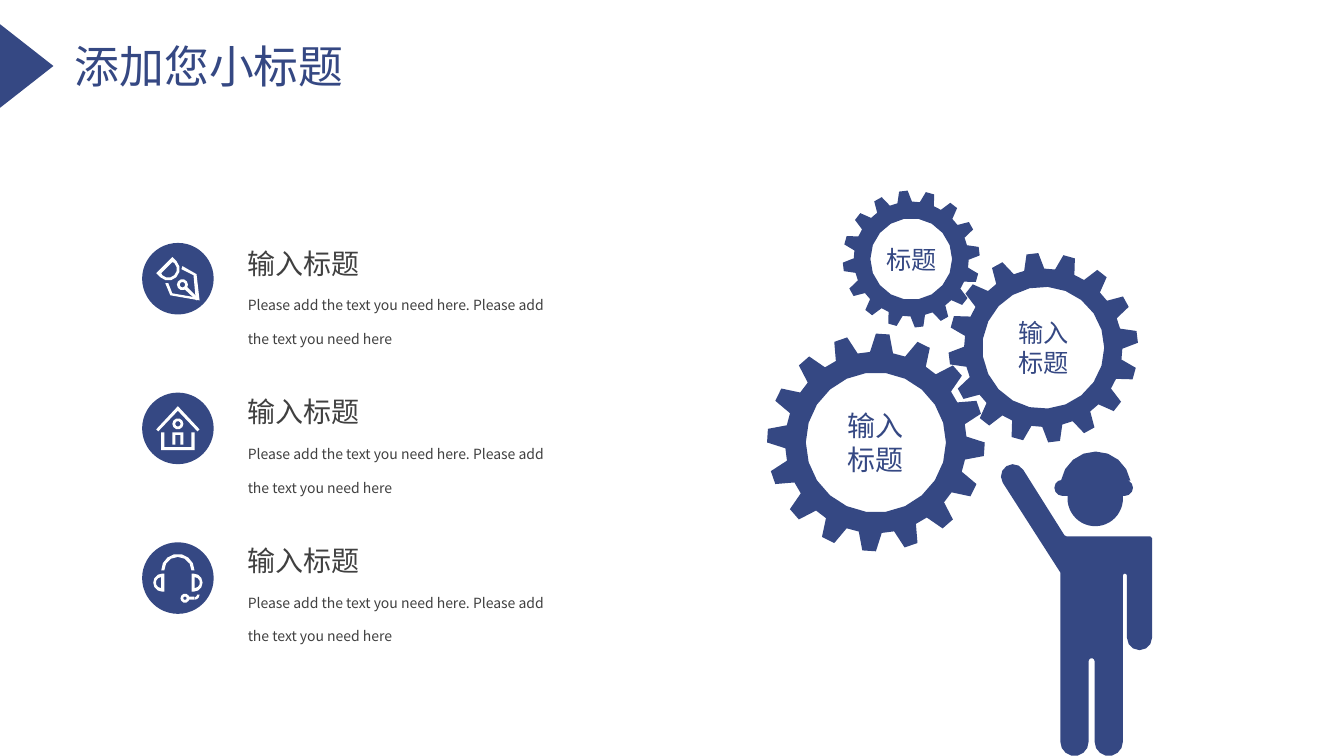
from dataclasses import dataclass
from math import cos, radians, sin, sqrt
from typing import NamedTuple

from lxml import etree
from pptx import Presentation
from pptx.dml.color import RGBColor
from pptx.enum.shapes import MSO_SHAPE
from pptx.enum.text import MSO_ANCHOR, MSO_AUTO_SIZE, PP_ALIGN
from pptx.oxml.ns import qn
from pptx.util import Emu, Pt

OVAL, RECT, TRI = MSO_SHAPE.OVAL, MSO_SHAPE.RECTANGLE, MSO_SHAPE.ISOSCELES_TRIANGLE
MIDDLE, TOP = MSO_ANCHOR.MIDDLE, MSO_ANCHOR.TOP
CENTER, LEFT = PP_ALIGN.CENTER, PP_ALIGN.LEFT
GROW = MSO_AUTO_SIZE.SHAPE_TO_FIT_TEXT

CELL = 91440  # one grid column or row: a tenth of an inch
COLS, ROWS = 133.33, 75
FINE = 100  # freeform steps in one cell

Points = list[tuple[float, float]]


@dataclass(frozen=True)
class Theme:
    navy: RGBColor = RGBColor(0x35, 0x48, 0x83)
    white: RGBColor = RGBColor(0xFF, 0xFF, 0xFF)
    gray: RGBColor = RGBColor(0x40, 0x40, 0x40)
    font: str = "Noto Sans CJK SC"
    title: int = 32
    head: int = 20
    body: int = 10


THEME = Theme()


class Gear(NamedTuple):
    x: float
    y: float
    tip: float
    root: float
    hole: float
    turn: float
    size: int
    lines: list[str]


class Item(NamedTuple):
    head: str
    body: str
    icon: list[list[Points]]


def grid(n: float) -> Emu:
    return Emu(round(n * CELL))


def arc(x: float, y: float, r: float, start: float, end: float) -> Points:
    """Points along an arc, more for a larger one; degrees run clockwise from the right."""
    steps = max(3, round(abs(end - start) / 360 * (6 + 6 * sqrt(r))))
    turns = [radians(start + (end - start) * i / steps) for i in range(steps + 1)]
    return [(x + r * cos(t), y + r * sin(t)) for t in turns]


def loop(x: float, y: float, r: float) -> Points:
    return arc(x, y, r, 0, 360)[:-1]


def ring(x: float, y: float, outer: float, inner: float) -> list[Points]:
    return [loop(x, y, outer), loop(x, y, inner)]


def flip(part: list[Points]) -> list[Points]:
    return [[(-x, y) for x, y in edge] for edge in part]


def paint(shape, color: RGBColor):
    shape.shadow.inherit = False
    shape.fill.solid()
    shape.fill.fore_color.rgb = color
    shape.line.fill.background()
    return shape


def preset(shapes, kind, x: float, y: float, w: float, h: float, color: RGBColor):
    return paint(shapes.add_shape(kind, grid(x), grid(y), grid(w), grid(h)), color)


def outline(shapes, edges: list[Points], color: RGBColor, x: float = 0, y: float = 0):
    """Fill closed edges, shifted by x and y; an inner edge is a hole."""
    pen = None
    for edge in edges:
        first, *rest = [((x + a) * FINE, (y + b) * FINE) for a, b in edge]
        if pen is None:
            pen = shapes.build_freeform(*first, scale=CELL / FINE)
        else:
            pen.move_to(*first)
        pen.add_line_segments(rest, close=True)
    return paint(pen.convert_to_shape(), color)


def write(para, text: str, size: int, color: RGBColor, align=LEFT) -> None:
    para.alignment = align
    run = para.add_run()
    run.text = text
    font = run.font
    font.size, font.name, font.color.rgb = Pt(size), THEME.font, color
    etree.SubElement(font._element, qn("a:ea")).set("typeface", THEME.font)


def add_gear(shapes, gear: Gear, teeth: int = 16) -> None:
    rim: Points = []
    for i in range(teeth):
        mid = gear.turn - 90 + i * 360 / teeth
        for r, off in ((gear.root, -7.3), (gear.tip, -3.6), (gear.tip, 3.6), (gear.root, 7.3)):
            t = radians(mid + off)
            rim.append((r * cos(t), r * sin(t)))
    hole = loop(0, 0, gear.hole)
    frame = outline(shapes, [rim, hole], THEME.navy, gear.x, gear.y).text_frame
    frame.vertical_anchor = MIDDLE
    for i, line in enumerate(gear.lines):
        para = frame.add_paragraph() if i else frame.paragraphs[0]
        write(para, line, gear.size, THEME.navy, CENTER)


def helmet(brim: float) -> Points:
    return (arc(105.4, 48.4, brim, 90, 270) + arc(108.7, 48.3, 2.7 + brim, 190, 350)
            + arc(111.6, 48.4, brim, -90, 90))


def add_worker(shapes) -> None:
    group = shapes.add_group_shape().shapes
    body = ([(105.8, 53.2), (105.6, 53.1)] + arc(100.5, 47.25, 1.2, -33, -213)
            + [(105.2, 56.8)] + arc(106.6, 73.6, 1.4, 180, 0)
            + arc(108.3, 65.6, 0.3, 180, 360) + arc(110, 73.6, 1.4, 180, 0)
            + arc(111.6, 57.1, 0.2, 180, 360) + arc(113.05, 63.25, 1.25, 180, 0)
            + [(114.3, 53.4), (114.1, 53.2)])
    preset(group, OVAL, 105.9, 46.7, 5.5, 5.5, THEME.navy)
    for edges in ([body], [helmet(0.5)], [helmet(0.8), helmet(0.2)]):
        outline(group, edges, THEME.navy)


def add_item(shapes, item: Item, row: int) -> None:
    x, y = 17.65, 27.65 + 14.85 * row
    preset(shapes, OVAL, x - 3.55, y - 3.55, 7.1, 7.1, THEME.navy)
    for part in item.icon:
        outline(shapes, part, THEME.white, x, y)
    if item.icon is HEADSET:
        preset(shapes, RECT, x + 1.05, y + 1.85, 0.6, 0.3, THEME.white)
    box = shapes.add_textbox(grid(23.6), grid(20.6 + 14.75 * row), grid(33.4), grid(14.5))
    frame = box.text_frame
    frame.word_wrap, frame.auto_size = True, GROW
    frame.vertical_anchor = TOP
    write(frame.paragraphs[0], item.head, THEME.head, THEME.gray)
    write(frame.add_paragraph(), item.body, THEME.body, THEME.gray)
    for para in frame.paragraphs:
        para.line_spacing = 2.0


PEN = [
    [[(1.85, 2.15), (2.05, 1.95), (0.85, 0.75), (0.55, 0.95)]],
    ring(0.45, 0.6, 0.55, 0.27),
    [[(-0.55, -2.15), (-2.15, -0.55)] + arc(-0.95, -0.95, 1.13, 135, -45),
     [(-0.55, -1.65), (-1.65, -0.55)] + arc(-0.95, -0.95, 0.85, 135, -45)],
    [[(2.15, 2.15), (1.85, -0.45), (0.45, -1.25), (0.35, -0.95), (1.55, -0.35),
      (1.75, 1.85), (-0.55, 1.45), (-0.95, 0.45), (-1.25, 0.45), (-0.75, 1.65)]],
]
HOUSE = [
    [[(1.65, 2.15), (-1.65, 2.15), (-1.65, 0.4), (-1.35, 0.4), (-1.35, 1.85),
      (1.35, 1.85), (1.35, 0.4), (1.65, 0.4)]],
    [[(1.95, 0.3), (0, -1.75), (-1.95, 0.3), (-2.15, 0.1), (0, -2.2), (2.15, 0.1)]],
    [[(0.55, 1.6), (0.25, 1.6), (0.25, 0.65), (-0.25, 0.65), (-0.25, 1.6),
      (-0.55, 1.6), (-0.55, 0.4), (0.55, 0.4)]],
    ring(0, -0.45, 0.55, 0.27),
]
EAR = [[(-1.35, 1.35)] + arc(-1.55, 0.45, 0.9, 90, 270) + [(-1.35, -0.45)],
       arc(-1.65, 0.45, 0.55, 90, 270)]
HEADSET = [
    EAR,
    flip(EAR),
    [arc(1.65, 1.65, 0.25, 90, 0) + arc(1.65, 1.65, 0.5, 0, 90)],
    ring(0.7, 2, 0.45, 0.17),
    [arc(0, -0.75, 1.65, 180, 360) + arc(0, -0.75, 1.35, 360, 180)],
]
GEARS = [
    Gear(103.5, 34.5, 9.4, 7.85, 6.05, -6.6, 18, ["输入", "标题"]),
    Gear(90.4, 25.7, 6.8, 5.7, 4.05, -6.6, 18, ["标题"]),
    Gear(86.9, 43.9, 10.8, 9.0, 6.95, 3.6, 20, ["输入", "标题"]),
]
BODY = "Please add the text you need here. Please add the text you need here"
ITEMS = [Item("输入标题", BODY, icon) for icon in (PEN, HOUSE, HEADSET)]


def main() -> None:
    deck = Presentation()
    deck.slide_width, deck.slide_height = grid(COLS), grid(ROWS)
    shapes = deck.slides.add_slide(deck.slide_layouts[5]).shapes
    title = shapes.title
    title.left, title.top, title.width, title.height = map(grid, (6.4, 3.3, 33.9, 6.4))
    frame = title.text_frame
    frame.word_wrap, frame.auto_size = True, GROW
    frame.vertical_anchor = TOP
    write(frame.paragraphs[0], "添加您小标题", THEME.title, THEME.navy)
    preset(shapes, TRI, -1.5, 3.9, 8.3, 5.3, THEME.navy).rotation = 90
    for gear in GEARS:
        add_gear(shapes, gear)
    add_worker(shapes)
    for row, item in enumerate(ITEMS):
        add_item(shapes, item, row)
    deck.save("out.pptx")


if __name__ == "__main__":
    main()
